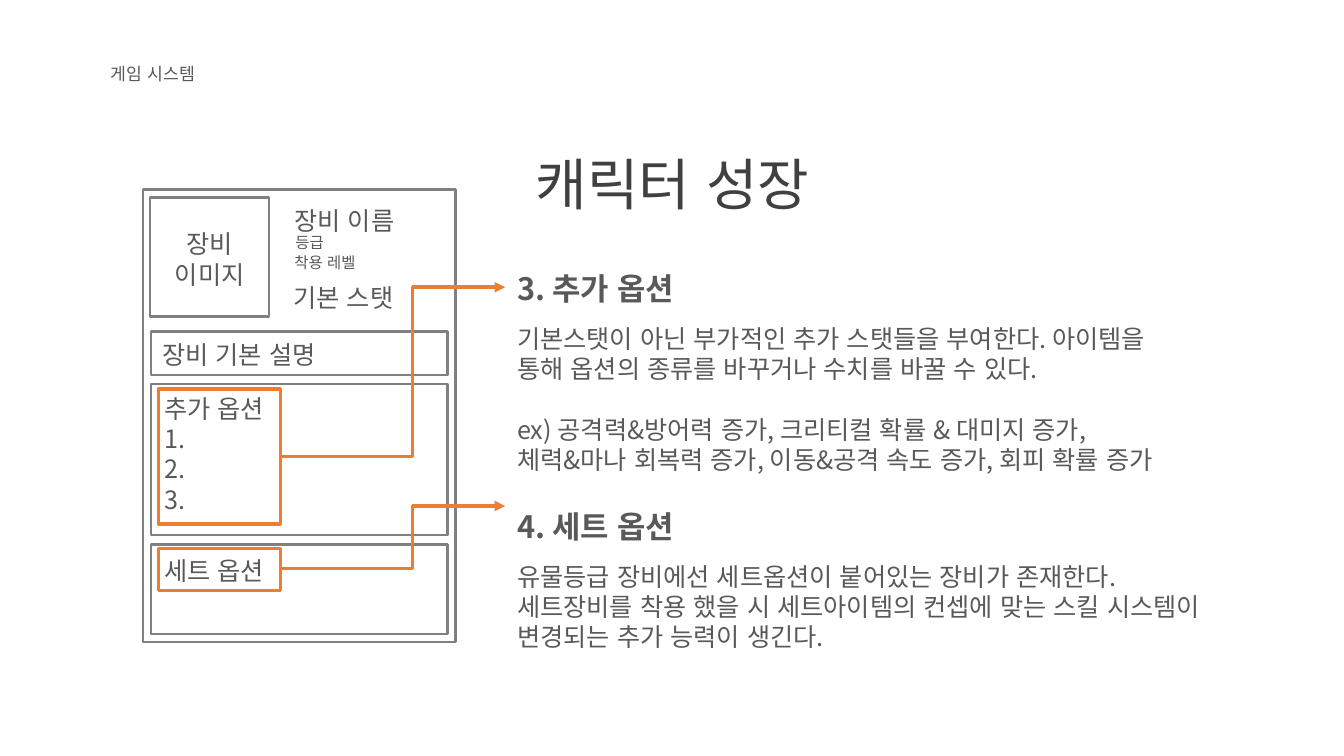
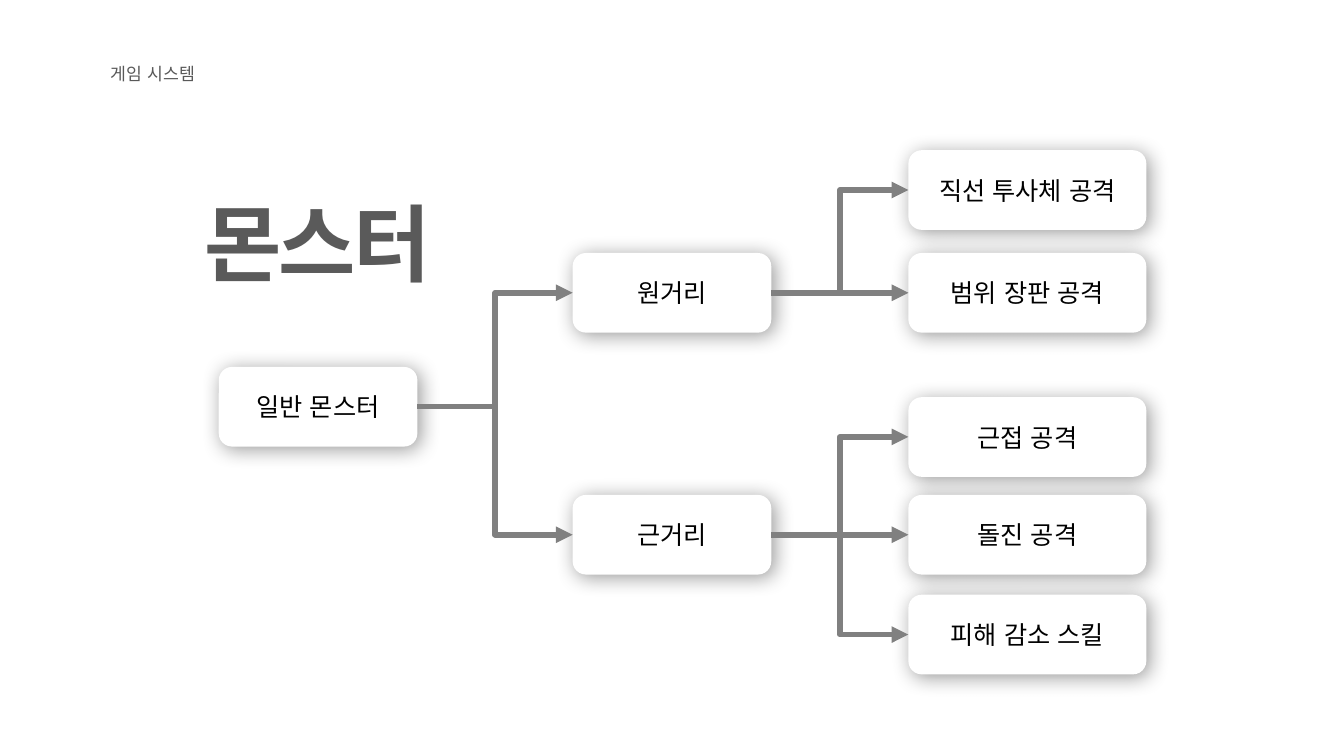
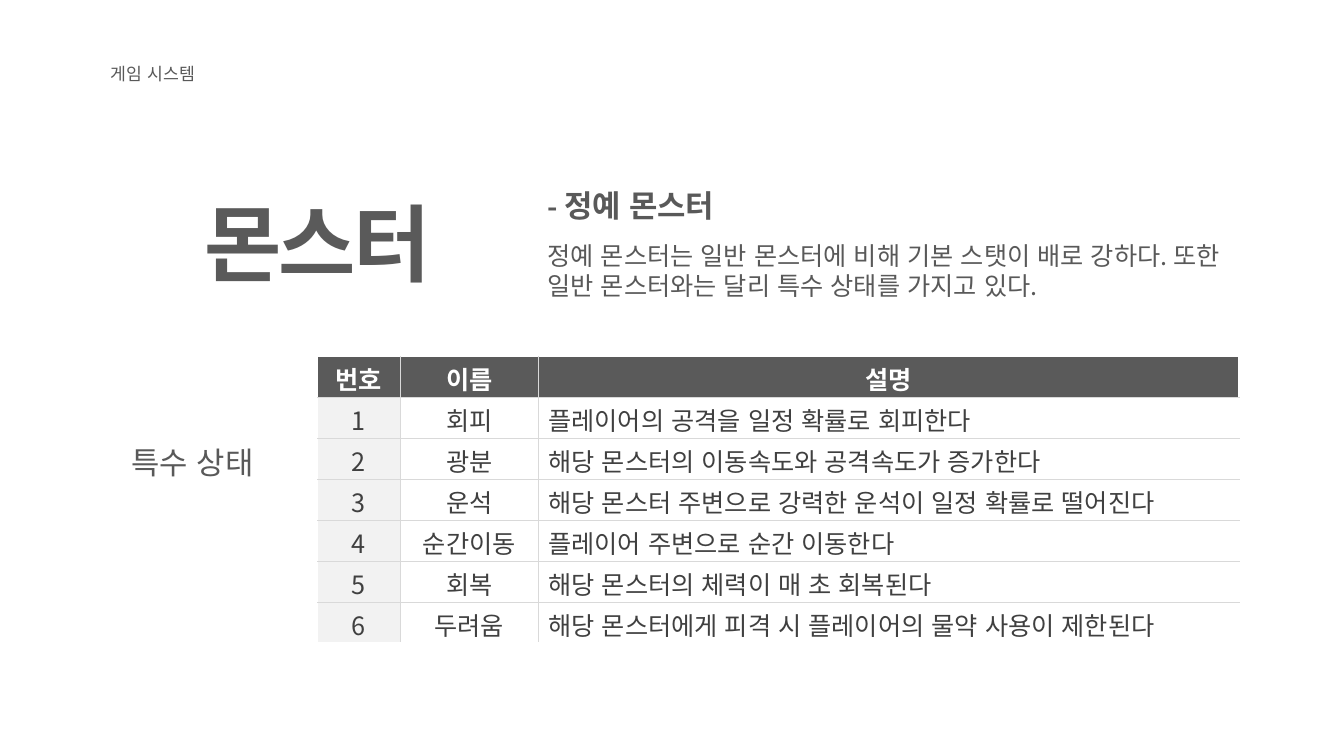
import pptx
import pptx.util
import pptx.dml.color
import pptx.enum.dml
import pptx.enum.lang
import pptx.enum.shapes
import pptx.enum.text
import pptx.oxml
import pptx.oxml.ns
from lxml import etree

Inches = pptx.util.Inches
Pt = pptx.util.Pt
rgb = pptx.dml.color.RGBColor.from_string
qn = pptx.oxml.ns.qn
Shape = pptx.enum.shapes.MSO_SHAPE
Link = pptx.enum.shapes.MSO_CONNECTOR
Anchor = pptx.enum.text.MSO_ANCHOR
LEFT = pptx.enum.text.PP_ALIGN.LEFT
CENTER = pptx.enum.text.PP_ALIGN.CENTER

FONT = "Noto Sans CJK KR"
TEXT, DARK, HEADING = "595959", "404040", "5A5A5A"
OUTLINE, RULE, PALE = "808080", "D9D9D9", "F2F2F2"
ACCENT, WHITE, BLACK = "ED7D31", "FFFFFF", "000000"


def write(frame, paragraphs, color=TEXT, align=LEFT, font=FONT, inset=True):
    if inset:
        frame.word_wrap = True
        frame.auto_size = pptx.enum.text.MSO_AUTO_SIZE.NONE
        frame.vertical_anchor = Anchor.TOP
        frame.margin_left = frame.margin_right = Inches(0.12)
        frame.margin_top = Inches(0.06) + Pt(0.08 * paragraphs[0][0][0][1])
        frame.margin_bottom = Inches(0.06)
    for index, (runs, gap) in enumerate(paragraphs):
        paragraph = frame.add_paragraph() if index else frame.paragraphs[0]
        paragraph.alignment = align
        paragraph.line_spacing = Pt(1.2 * max(size for _, size, _ in runs))
        paragraph.space_before = Pt(0)
        paragraph.space_after = Pt(gap)
        for words, size, bold in runs:
            run = paragraph.add_run()
            run.text = words
            run.font.size = Pt(size)
            run.font.bold = bold
            run.font.name = font
            run.font.color.rgb = rgb(color)
            run.font.language_id = pptx.enum.lang.MSO_LANGUAGE_ID.KOREAN
            etree.SubElement(run.font._element, qn("a:ea"), typeface=FONT)


def add_arrow(slide, kind, start, end, color, width):
    arrow = slide.shapes.add_connector(kind, *map(Inches, (*start, *end)))
    arrow.line.color.rgb = rgb(color)
    arrow.line.width = Pt(width)
    etree.SubElement(arrow.line._get_or_add_ln(), qn("a:tailEnd"), type="triangle")
    etree.SubElement(arrow._element.spPr, qn("a:effectLst"))
    return arrow


deck = pptx.Presentation()
deck.slide_width, deck.slide_height = Inches(13.33), Inches(7.5)

monster = ("몬스터", (1.18, 1.77, 3.94, 1.13), 60, True, HEADING, "Arial")
titles = [
    ("캐릭터 성장", (3.99, 1.38, 5.36, 0.8), 40, False, DARK, FONT),
    monster,
    monster,
]
for words, box, size, bold, color, font in titles:
    slide = deck.slides.add_slide(deck.slide_layouts[5])
    title = slide.shapes.title
    title.left, title.top, title.width, title.height = map(Inches, box)
    write(title.text_frame, [([(words, size, bold)], 0)], color, CENTER, font)
    if bold:
        title.text_frame.paragraphs[0].runs[0].font._element.set("spc", "-180")
    section = slide.shapes.add_textbox(*map(Inches, (0.98, 0.55, 1.85, 0.33)))
    write(section.text_frame, [([("게임 시스템", 12.3, False)], 0)])
growth, monsters, elites = deck.slides

# fmt: off
panels = [
    ((1.42, 1.88, 3.1, 4.49), OUTLINE, 1.75),
    ((1.49, 1.96, 1.18, 1.18), OUTLINE, 1.75),
    ((1.5, 3.29, 2.94, 0.43), OUTLINE, 1.75),
    ((1.5, 3.81, 2.94, 1.5), OUTLINE, 1.75),
    ((1.5, 5.4, 2.94, 0.89), OUTLINE, 1.75),
    ((1.57, 3.86, 1.21, 1.34), ACCENT, 2.5),
    ((1.57, 5.44, 1.21, 0.42), ACCENT, 2.5),
]
for box, color, width in panels:
    panel = growth.shapes.add_shape(Shape.RECTANGLE, *map(Inches, box))
    panel.shadow.inherit = False
    panel.fill.background()
    panel.line.color.rgb = rgb(color)
    panel.line.width = Pt(width)

item_labels = [
    ((2.8, 1.96, 1.91, 0.43), ["장비 이름"], 18, LEFT),
    ((1.57, 2.19, 1.02, 0.73), ["장비", "이미지"], 18, CENTER),
    ((2.8, 2.44, 1.91, 0.31), ["착용 레벨"], 11, LEFT),
    ((2.81, 2.24, 1.91, 0.31), ["등급"], 11, LEFT),
    ((2.79, 2.72, 1.91, 0.43), ["기본 스탯"], 18, LEFT),
    ((1.49, 3.29, 2.92, 0.43), ["장비 기본 설명"], 18, LEFT),
    ((1.51, 3.82, 2.92, 1.34), ["추가 옵션", "1.", "2.", "3."], 18, LEFT),
    ((1.51, 5.43, 2.92, 0.43), ["세트 옵션"], 18, LEFT),
]
for box, lines, size, align in item_labels:
    label = growth.shapes.add_textbox(*map(Inches, box))
    write(label.text_frame, [([(line, size, False)], 0) for line in lines], align=align)

options = growth.shapes.add_textbox(*map(Inches, (5.01, 2.59, 7.28, 3.95)))
write(options.text_frame, [
    ([("3. 추가 옵션", 22, True)], 12),
    ([("기본스탯이 아닌 부가적인 추가 스탯들을 부여한다. 아이템을", 18, False)], 0),
    ([("통해 옵션의 종류를 바꾸거나 수치를 바꿀 수 있다.", 18, False)], 21.6),
    ([("ex) 공격력&방어력 증가, 크리티컬 확률 & 대미지 증가,", 18, False)], 0),
    ([("체력&마나 회복력 증가, 이동&공격 속도 증가, 회피 확률 증가", 18, False)], 23.5),
    ([("4. 세트 옵션", 22, True)], 12),
    ([("유물등급 장비에선 세트옵션이 붙어있는 장비가 존재한다.", 18, False)], 0),
    ([("세트장비를 착용 했을 시 세트아이템의 컨셉에 맞는 스킬 시스템이 변경되는 추가 능력이 생긴다.", 18, False)], 0),
])

for start_y, end_y in [(4.53, 2.85), (5.64, 5.02)]:
    callout = add_arrow(growth, Link.ELBOW, (2.79, start_y), (5.01, end_y), ACCENT, 2.5)
    bends = callout._element.spPr.find(qn("a:prstGeom")).get_or_add_avLst()
    etree.SubElement(bends, qn("a:gd"), name="adj1", fmla="val 58700")

tree = [
    ("일반 몬스터", 2.17, 3.64, 1.97, None),
    ("원거리", 5.68, 2.51, 1.97, "일반 몬스터"),
    ("근거리", 5.68, 4.91, 1.97, "일반 몬스터"),
    ("직선 투사체 공격", 9.01, 1.49, 2.36, "원거리"),
    ("범위 장판 공격", 9.01, 2.51, 2.36, "원거리"),
    ("근접 공격", 9.01, 3.94, 2.36, "근거리"),
    ("돌진 공격", 9.01, 4.91, 2.36, "근거리"),
    ("피해 감소 스킬", 9.01, 5.9, 2.36, "근거리"),
]
NODE_HEIGHT = 0.79
nodes = {}
for name, left, top, width, parent in tree:
    node = monsters.shapes.add_shape(
        Shape.ROUNDED_RECTANGLE, *map(Inches, (left, top, width, NODE_HEIGHT)))
    node.shadow.inherit = False
    node.fill.solid()
    node.fill.fore_color.rgb = rgb(WHITE)
    node.line.fill.background()
    glow = etree.SubElement(
        node._element.spPr.find(qn("a:effectLst")), qn("a:outerShdw"),
        blurRad=str(Pt(15)), dist=str(Pt(3)), dir="2700000", rotWithShape="0")
    tint = etree.SubElement(glow, qn("a:srgbClr"), val=BLACK)
    etree.SubElement(tint, qn("a:alpha"), val="40000")
    node.text_frame.vertical_anchor = Anchor.MIDDLE
    write(node.text_frame, [([(name, 18, False)], 0)], BLACK, CENTER, inset=False)
    middle = top + NODE_HEIGHT / 2
    nodes[name] = (node, left + width, middle)
    if parent:
        source, source_right, source_middle = nodes[parent]
        kind = Link.STRAIGHT if middle == source_middle else Link.ELBOW
        branch = add_arrow(
            monsters, kind, (source_right, source_middle), (left, middle), OUTLINE, 4)
        branch.begin_connect(source, 3)
        branch.end_connect(node, 1)

summary = elites.shapes.add_textbox(*map(Inches, (5.31, 1.77, 6.98, 1.57)))
write(summary.text_frame, [
    ([("- ", 20, True), ("정예 몬스터", 22, True)], 12),
    ([("정예 몬스터는 일반 몬스터에 비해 기본 스탯이 배로 강하다. 또한 일반 몬스터와는 달리 특수 상태를 가지고 있다.", 18, False)], 0),
])
caption = elites.shapes.add_textbox(*map(Inches, (-0.77, 4.32, 5.36, 0.49)))
write(caption.text_frame, [([("특수 상태", 22, False)], 0)], align=CENTER)

states = [
    ("번호", "이름", "설명"),
    ("1", "회피", "플레이어의 공격을 일정 확률로 회피한다"),
    ("2", "광분", "해당 몬스터의 이동속도와 공격속도가 증가한다"),
    ("3", "운석", "해당 몬스터 주변으로 강력한 운석이 일정 확률로 떨어진다"),
    ("4", "순간이동", "플레이어 주변으로 순간 이동한다"),
    ("5", "회복", "해당 몬스터의 체력이 매 초 회복된다"),
    ("6", "두려움", "해당 몬스터에게 피격 시 플레이어의 물약 사용이 제한된다"),
]
# fmt: on
state_table = elites.shapes.add_table(
    len(states), 3, *map(Inches, (3.15, 3.54, 9.14, 2.84))).table
for column, width in zip(state_table.columns, (0.82, 1.37, 6.95)):
    column.width = Inches(width)
last_row, last_column = len(states) - 1, 2
for r, state in enumerate(states):
    for c, words in enumerate(state):
        cell = state_table.cell(r, c)
        cell.margin_top, cell.margin_bottom = Inches(0.1), 0
        outer_edges = {"L": c == 0, "R": c == last_column, "T": r == 0, "B": r == last_row}
        for side, outer in outer_edges.items():
            edge = etree.SubElement(
                cell._tc.get_or_add_tcPr(), qn("a:ln" + side), w=str(Pt(1)))
            paint = etree.SubElement(edge, qn("a:solidFill"))
            etree.SubElement(paint, qn("a:srgbClr"), val=WHITE if outer else RULE)
        header = r == 0
        cell.fill.solid()
        cell.fill.fore_color.rgb = rgb(HEADING if header else PALE if c == 0 else WHITE)
        write(
            cell.text_frame, [([(words, 18, header)], 0)], WHITE if header else DARK,
            CENTER if header or c < last_column else LEFT, inset=False)

deck.save("out.pptx")
